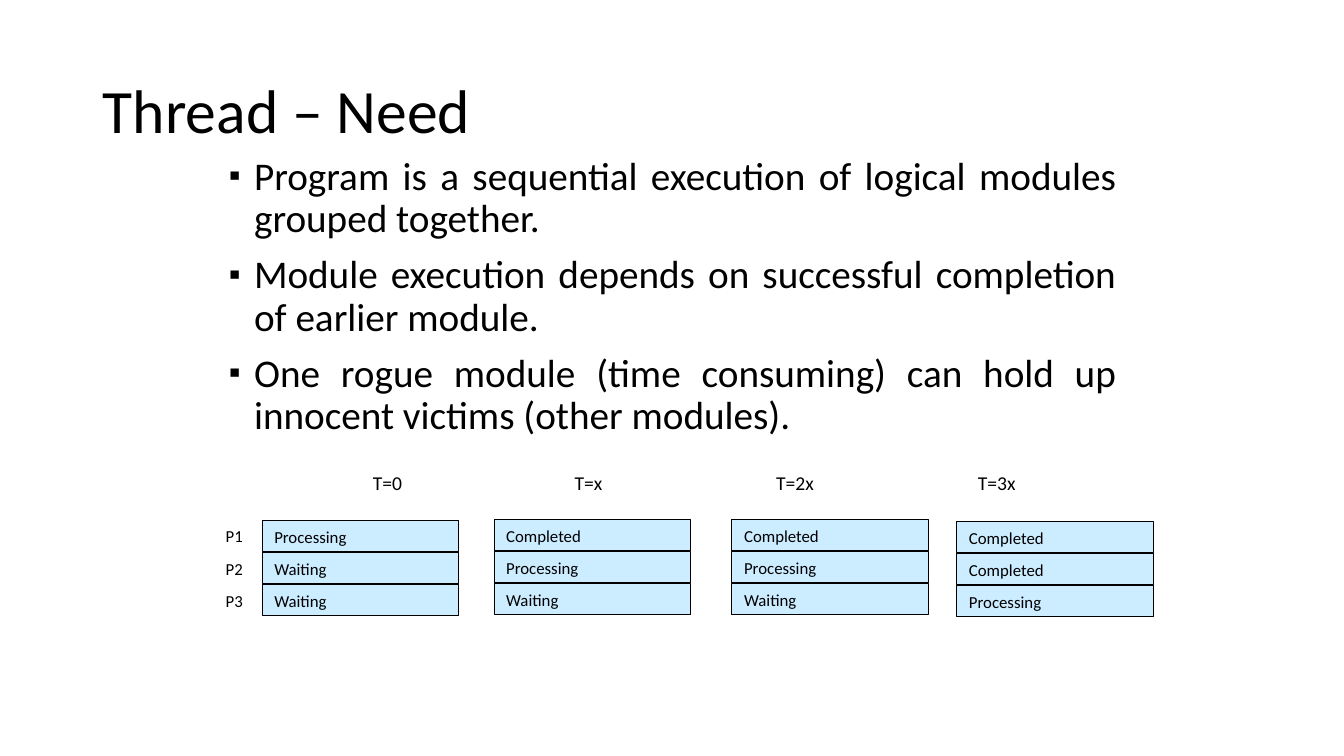
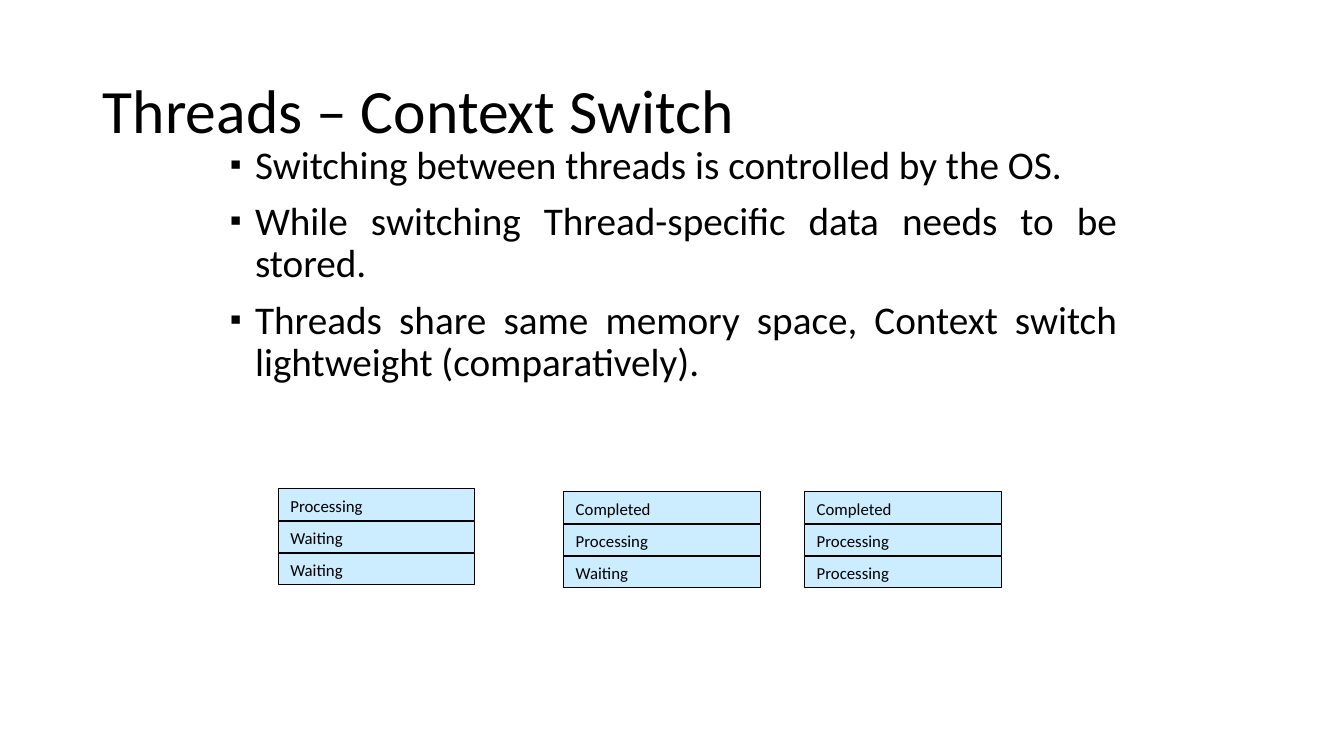
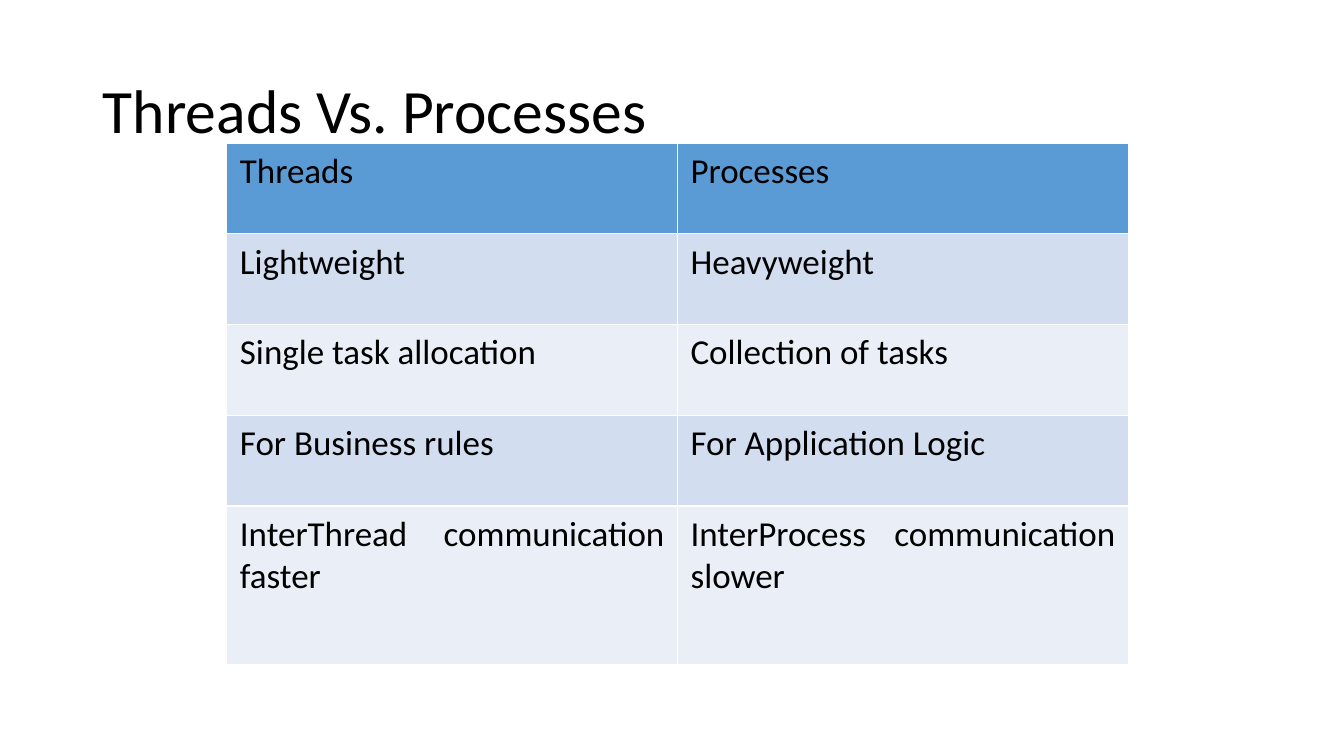
from pptx import Presentation
from pptx.dml.color import RGBColor
from pptx.enum.shapes import MSO_SHAPE
from pptx.enum.text import MSO_ANCHOR, MSO_AUTO_SIZE, PP_ALIGN
from pptx.oxml import parse_xml
from pptx.oxml.ns import nsdecls
from pptx.util import Pt

PX = 9144  # 100 px to the inch
RECT = MSO_SHAPE.RECTANGLE
TOP, MID = MSO_ANCHOR.TOP, MSO_ANCHOR.MIDDLE
LEFT, JUST = PP_ALIGN.LEFT, PP_ALIGN.JUSTIFY
FIXED = MSO_AUTO_SIZE.NONE

FONT, INK, WHITE = "Calibri", "000000", "FFFFFF"
BOX, HEAD, DARK, PALE = "CCECFF", "5B9BD5", "D2DEEF", "EAEFF7"

# Format values for frames and paragraphs
PLAIN = {"word_wrap": True, "auto_size": FIXED, "vertical_anchor": TOP}
CENTER = {**PLAIN, "vertical_anchor": MID}
INBOX = {**CENTER, "margin_left": 12 * PX, "margin_top": 2 * PX,
         "margin_bottom": 0}
FLUSH = {"alignment": LEFT}
TITLE = {"alignment": LEFT, "line_spacing": 0.9}
LIST = {"alignment": JUST, "line_spacing": 0.9, "space_before": Pt(10)}
CELL = {"margin_left": 13 * PX, "margin_right": 13 * PX,
        "margin_top": 7 * PX, "margin_bottom": 7 * PX}


def color(code):
    return RGBColor.from_string(code)


def write(frame, words, size, look, form):
    """Fill a text frame and format it and its paragraphs."""
    frame.text = words
    for key, val in look.items():
        setattr(frame, key, val)
    for par in frame.paragraphs:
        for key, val in form.items():
            setattr(par, key, val)
        for run in par.runs:
            run.font.name, run.font.size = FONT, Pt(size)
            run.font.bold = False
            run.font.color.rgb = color(INK)


deck = Presentation()
deck.slide_width, deck.slide_height = 1333 * PX, 750 * PX

# Content: title, list place and lines, state columns as (left, top, states)
pages = [
    ("Thread – Need", (217, 150), [
        "Program is a sequential execution of logical modules grouped together.",
        "Module execution depends on successful completion of earlier module.",
        "One rogue module (time consuming) can hold up innocent victims (other modules).",
    ], [
        (260, 516, ["Processing", "Waiting", "Waiting"]),
        (490, 515, ["Completed", "Processing", "Waiting"]),
        (726, 515, ["Completed", "Processing", "Waiting"]),
        (949, 517, ["Completed", "Completed", "Processing"]),
    ]),
    ("Threads – Context Switch", (218, 139), [
        "Switching between threads is controlled by the OS.",
        "While switching Thread-specific data needs to be stored.",
        "Threads share same memory space, Context switch lightweight (comparatively).",
    ], [
        (276, 485, ["Processing", "Waiting", "Waiting"]),
        (559, 488, ["Completed", "Processing", "Waiting"]),
        (798, 488, ["Completed", "Processing", "Processing"]),
    ]),
    ("Threads Vs. Processes", None, [], []),
]

for title, spot, lines, stacks in pages:
    # Title
    slide = deck.slides.add_slide(deck.slide_layouts[1 if lines else 5])
    head = slide.shapes.title
    head.left, head.top, head.width, head.height = (
        n * PX for n in (92, 40, 1150, 145))
    write(head.text_frame, title, 44, CENTER, TITLE)

    # Bullet list
    if lines:
        body = slide.placeholders[1]
        body.left, body.top, body.width, body.height = (
            n * PX for n in (*spot, 900, 520))
        write(body.text_frame, "\n".join(lines), 28, PLAIN, LIST)
        for par in body.text_frame.paragraphs:
            props = par._p.get_or_add_pPr()
            props.set("marL", str(25 * PX))
            props.set("indent", str(-25 * PX))
            for mark in ('buSzPct {} val="85000"', 'buFont {} typeface="Arial"',
                         'buChar {} char="▪"'):
                props.append(parse_xml(f"<a:{mark.format(nsdecls('a'))}/>"))

    # State boxes
    for left, top, states in stacks:
        for row, state in enumerate(states):
            box = slide.shapes.add_shape(
                RECT, left * PX, (top + 32 * row) * PX, 195 * PX, 31 * PX)
            box.shadow.inherit = False
            box.fill.solid()
            box.fill.fore_color.rgb = color(BOX)
            box.line.color.rgb = color(INK)
            box.line.width = Pt(0.75)
            write(box.text_frame, state, 12, INBOX, FLUSH)

# Time and process labels on the first slide
labels = [(360 + 200 * i, 462, 100, 34, 14, name)
          for i, name in enumerate(["T=0", "T=x", "T=2x", "T=3x"])]
labels += [(214, 517 + 32 * i, 48, 30, 12, f"P{i + 1}") for i in range(3)]
for left, top, wide, high, size, name in labels:
    label = deck.slides[0].shapes.add_textbox(
        left * PX, top * PX, wide * PX, high * PX)
    write(label.text_frame, name, size, PLAIN, FLUSH)

# Comparison table on the last slide
rows = [
    ("Threads", "Processes"),
    ("Lightweight", "Heavyweight"),
    ("Single task allocation", "Collection of tasks"),
    ("For Business rules", "For Application Logic"),
    ("InterThread communication faster", "InterProcess communication slower"),
]
table = deck.slides[2].shapes.add_table(
    5, 2, 225 * PX, 142 * PX, 894 * PX, 517 * PX).table
for col in table.columns:
    col.width = 447 * PX
for r, words in enumerate(rows):
    table.rows[r].height = (157 if r == 4 else 90) * PX
    for c, word in enumerate(words):
        cell = table.cell(r, c)
        for key, val in CELL.items():
            setattr(cell, key, val)
        props = cell._tc.get_or_add_tcPr()
        for side in "LRTB":
            props.append(parse_xml(
                f'<a:ln{side} {nsdecls("a")} w="12700"><a:solidFill>'
                f'<a:srgbClr val="{WHITE}"/></a:solidFill></a:ln{side}>'))
        cell.fill.solid()
        cell.fill.fore_color.rgb = color(
            HEAD if r == 0 else DARK if r % 2 else PALE)
        write(cell.text_frame, word, 25, {}, {"alignment": JUST})

deck.save("out.pptx")
